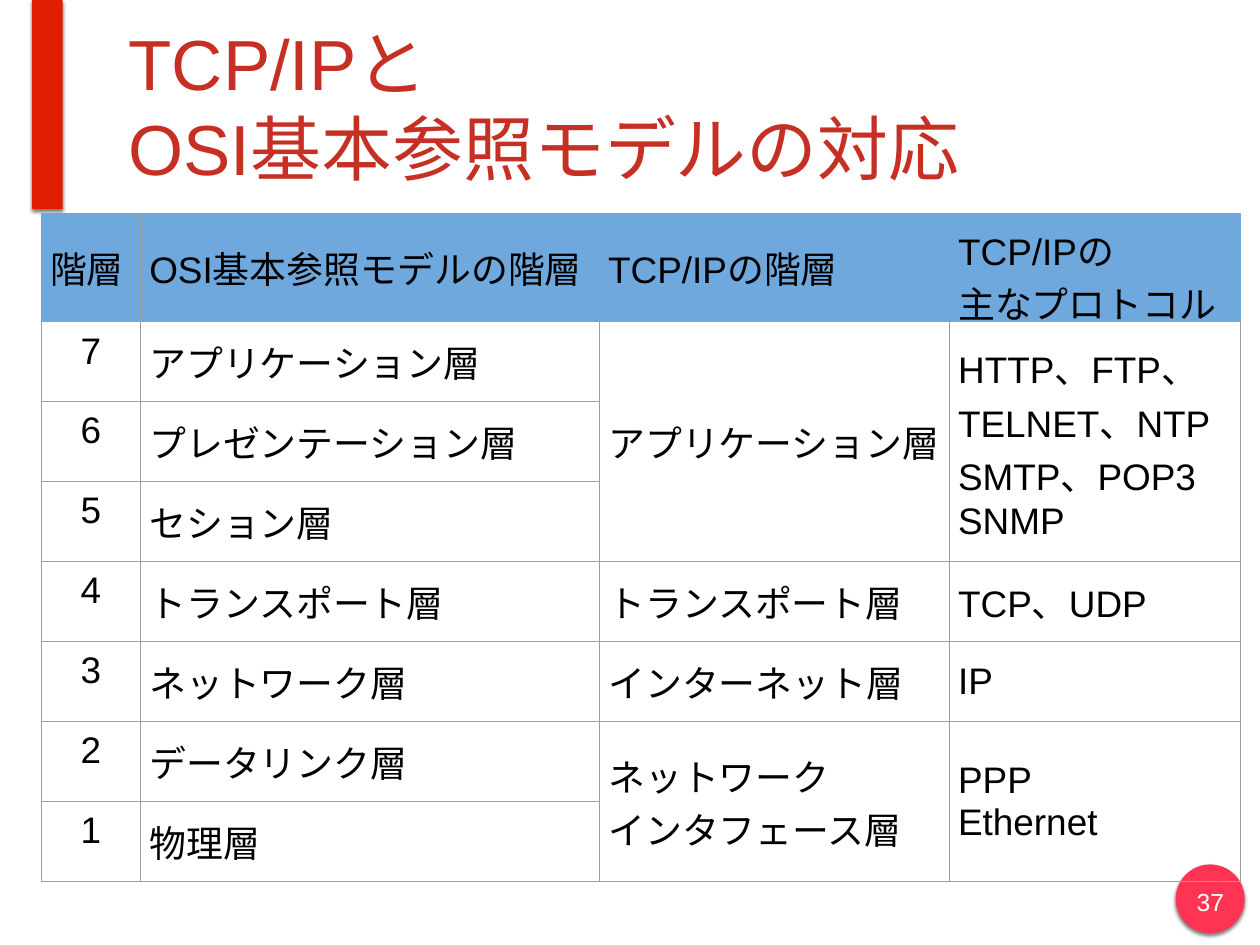
import pptx
import pptx.dml.color
import pptx.enum.shapes
import pptx.enum.text
import pptx.oxml
import pptx.oxml.ns
import pptx.util

Pt = pptx.util.Pt
Shape = pptx.enum.shapes.MSO_SHAPE
Anchor = pptx.enum.text.MSO_ANCHOR
Align = pptx.enum.text.PP_ALIGN
NAMESPACE = pptx.oxml.ns.nsdecls("a")

HEADER_BLUE = "6FA8DC"
GRID_GREY = "9E9E9E"

HEADERS = ["階層", "OSI基本参照モデルの階層", "TCP/IPの階層", "TCP/IPの\n主なプロトコル"]
OSI_LAYERS = ["アプリケーション層", "プレゼンテーション層", "セション層", "トランスポート層",
              "ネットワーク層", "データリンク層", "物理層"]
# First row, last row, TCP/IP layer, main protocols
TCP_IP_LAYERS = [
    (1, 3, "アプリケーション層", "HTTP、FTP、\nTELNET、NTP\nSMTP、POP3\nSNMP"),
    (4, 4, "トランスポート層", "TCP、UDP"),
    (5, 5, "インターネット層", "IP"),
    (6, 7, "ネットワーク\nインタフェース層", "PPP\nEthernet"),
]
COLUMN_WIDTHS = [80.6, 373, 284.4, 237]
HEADER_HEIGHT, ROW_HEIGHT = 88, 65


def color(value):
    return pptx.dml.color.RGBColor.from_string(value)


def set_values(target, values):
    for name, value in values.items():
        setattr(target, name, value)


def border_color(row, column, side):
    if row == 0 and (column, side) in ((0, "R"), (1, "L")):
        return GRID_GREY
    if row == 0 or (row == 1 and side == "T"):
        return HEADER_BLUE
    return GRID_GREY


class SlideBuilder:
    font_name = "Arial"

    def __init__(self, slide):
        self.slide = slide

    def fill_text(self, frame, text, size, ink, align=Align.LEFT):
        frame.text = text
        for paragraph in frame.paragraphs:
            paragraph.alignment = align
            set_values(paragraph.font, {"name": self.font_name, "size": Pt(size)})
            paragraph.font.color.rgb = color(ink)

    def shadowed_shape(self, kind, box, fill):
        shape = self.slide.shapes.add_shape(kind, *map(Pt, box))
        shape.fill.solid()
        shape.fill.fore_color.rgb = color(fill)
        shape.line.fill.background()
        shape.shadow.inherit = False
        effects = shape._element.spPr.find(pptx.oxml.ns.qn("a:effectLst"))
        effects.append(pptx.oxml.parse_xml(
            f'<a:outerShdw {NAMESPACE} blurRad="{Pt(3)}" dist="{Pt(2)}" dir="5400000" '
            'rotWithShape="0"><a:srgbClr val="000000"><a:alpha val="50000"/>'
            '</a:srgbClr></a:outerShdw>'))

    def text_box(self, box, text, size, ink, align=Align.LEFT, anchor=Anchor.TOP):
        frame = self.slide.shapes.add_textbox(*map(Pt, box)).text_frame
        margins = {f"margin_{side}": Pt(4.5) for side in ("left", "top", "right", "bottom")}
        set_values(frame, {"word_wrap": True, "vertical_anchor": anchor, **margins})
        self.fill_text(frame, text, size, ink, align)

    def table(self, left, top, widths, heights):
        table = self.slide.shapes.add_table(
            len(heights), len(widths), Pt(left), Pt(top),
            Pt(sum(widths)), Pt(sum(heights))).table
        set_values(table, {"first_row": False, "horz_banding": False})
        for column, width in zip(table.columns, widths):
            column.width = Pt(width)
        for row, height in zip(table.rows, heights):
            row.height = Pt(height)
        for row in range(len(heights)):
            for column in range(len(widths)):
                self.style_cell(table.cell(row, column), row, column)
        return table

    def style_cell(self, cell, row, column):
        set_values(cell, {f"margin_{side}": Pt(7.2)
                          for side in ("left", "top", "right", "bottom")})
        is_number = column == 0 and row > 0
        cell.vertical_anchor = Anchor.TOP if is_number else Anchor.MIDDLE
        properties = cell._tc.get_or_add_tcPr()
        for side in "LRTB":
            properties.append(pptx.oxml.parse_xml(
                f'<a:ln{side} {NAMESPACE} w="{Pt(0.75)}"><a:solidFill><a:srgbClr '
                f'val="{border_color(row, column, side)}"/></a:solidFill></a:ln{side}>'))
        if row == 0:
            cell.fill.solid()
            cell.fill.fore_color.rgb = color(HEADER_BLUE)
        else:
            cell.fill.background()

    def cell_text(self, cell, text, align=Align.LEFT):
        self.fill_text(cell.text_frame, text, 30, "000000", align)


def main():
    presentation = pptx.Presentation()
    set_values(presentation, {"slide_width": Pt(1024), "slide_height": Pt(768)})
    builder = SlideBuilder(presentation.slides.add_slide(presentation.slide_layouts[6]))

    # Page badge and side bar
    builder.shadowed_shape(Shape.OVAL, (955.5, 702.5, 56, 56), "FF3455")
    builder.shadowed_shape(Shape.RECTANGLE, (26, 0, 25, 170), "DF1F00")

    # Title and page number
    builder.text_box((100, 8.5, 874, 152.5), "TCP/IPと\nOSI基本参照モデルの対応",
                     57.6, "C63024", anchor=Anchor.MIDDLE)
    builder.text_box((966, 716.5, 35.5, 32.5), "37", 20, "FFFFFF", Align.CENTER)

    # Layer table
    heights = [HEADER_HEIGHT] + [ROW_HEIGHT] * len(OSI_LAYERS)
    table = builder.table(33.5, 173.5, COLUMN_WIDTHS, heights)
    for column, header in enumerate(HEADERS):
        builder.cell_text(table.cell(0, column), header)
    for row, layer in enumerate(OSI_LAYERS, start=1):
        number = str(len(OSI_LAYERS) + 1 - row)
        builder.cell_text(table.cell(row, 0), number, Align.CENTER)
        builder.cell_text(table.cell(row, 1), layer)
    for first, last, *texts in TCP_IP_LAYERS:
        for column, text in enumerate(texts, start=2):
            cell = table.cell(first, column)
            if last > first:
                cell.merge(table.cell(last, column))
            builder.cell_text(cell, text)

    presentation.save("out.pptx")


if __name__ == "__main__":
    main()
